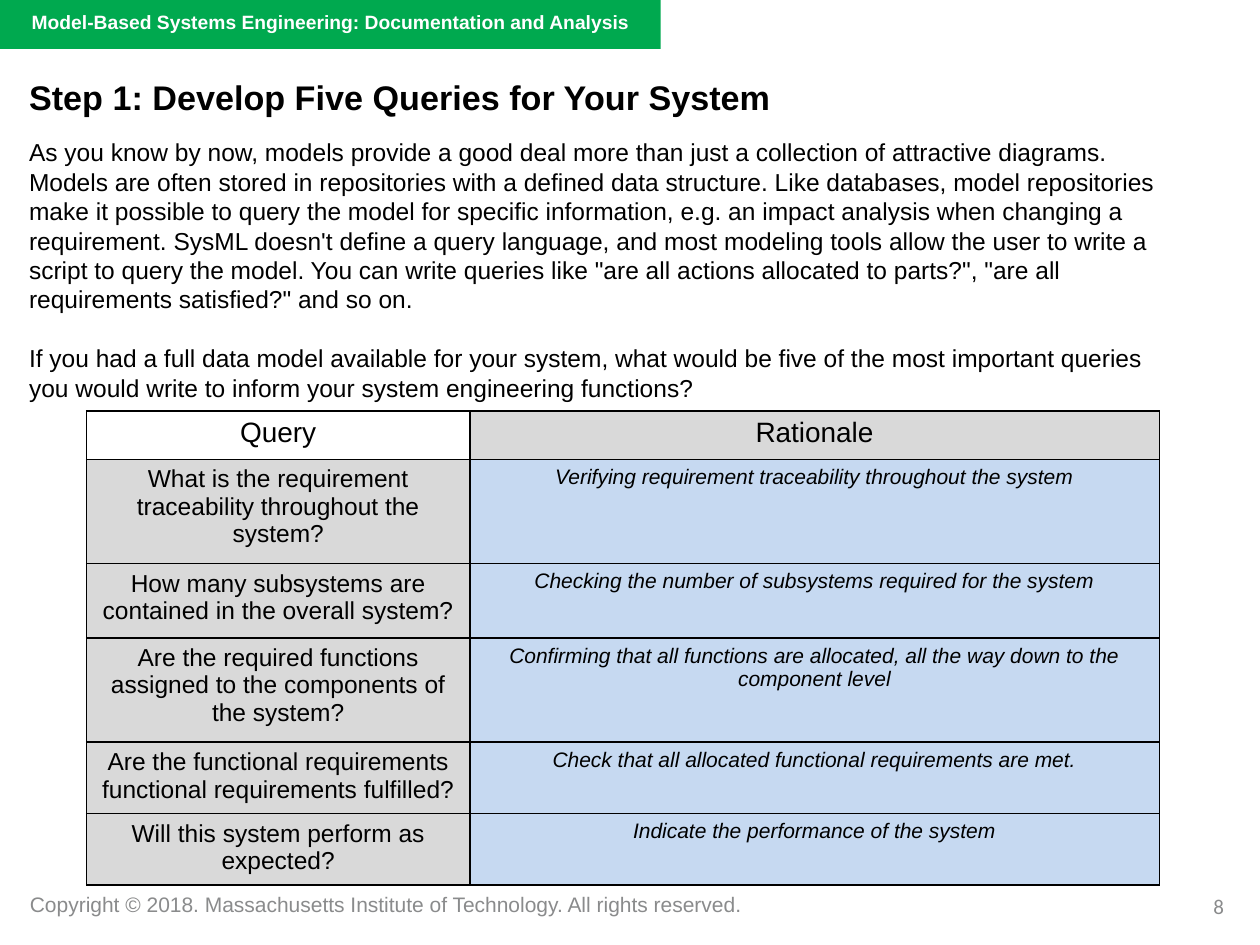
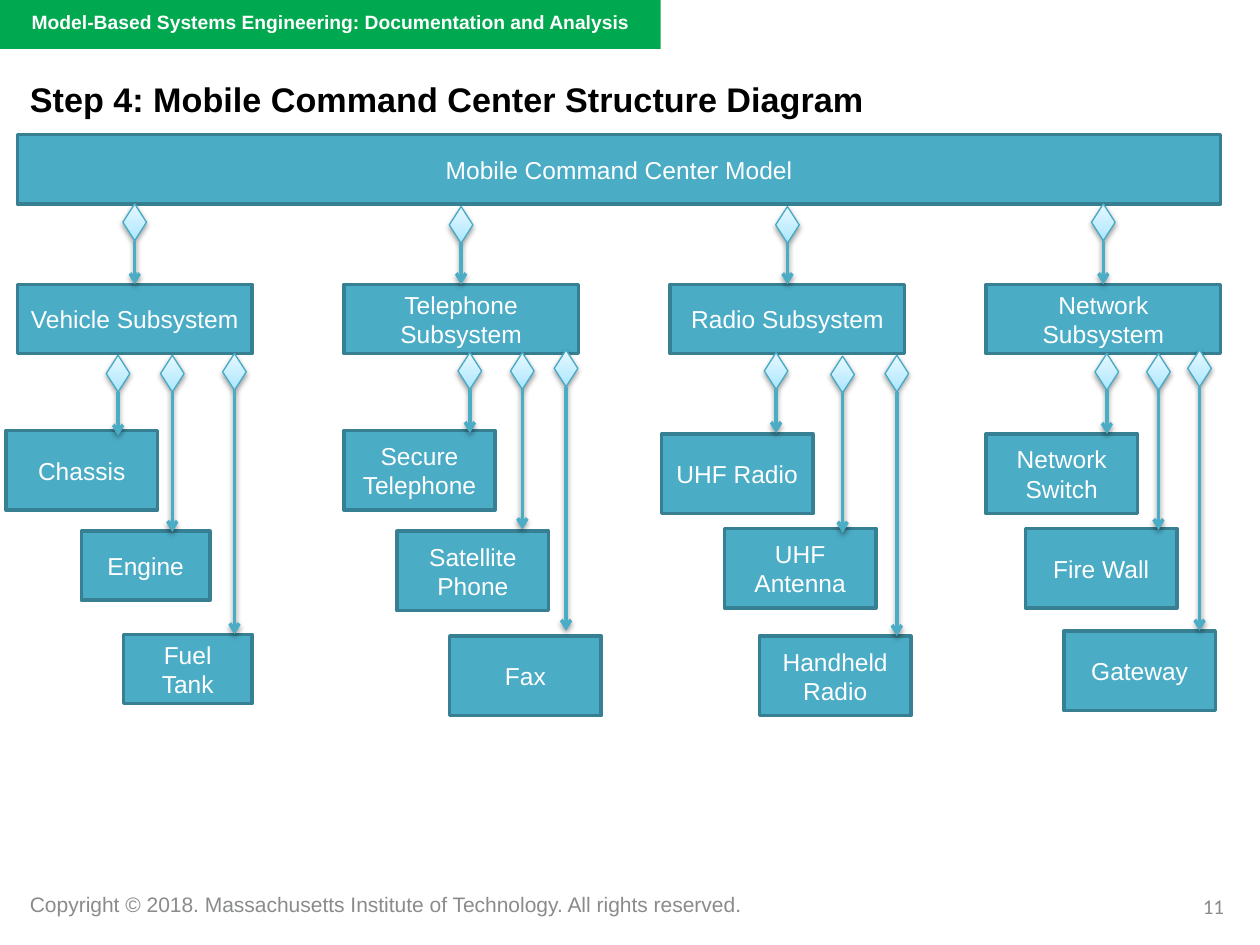
from copy import deepcopy

from pptx import Presentation
from pptx.dml.color import RGBColor
from pptx.enum.shapes import MSO_CONNECTOR, MSO_SHAPE
from pptx.enum.text import MSO_ANCHOR, PP_ALIGN
from pptx.oxml import parse_xml
from pptx.oxml.ns import nsdecls, qn
from pptx.util import Pt

RECTANGLE, DIAMOND = MSO_SHAPE.RECTANGLE, MSO_SHAPE.DIAMOND
STRAIGHT = MSO_CONNECTOR.STRAIGHT
LEFT, CENTER, RIGHT = PP_ALIGN.LEFT, PP_ALIGN.CENTER, PP_ALIGN.RIGHT
MIDDLE = MSO_ANCHOR.MIDDLE
TOP_SITE, BOTTOM_SITE = 0, 2

COLORS = {
    "band": "00A94F", "white": "FFFFFF", "black": "000000", "footer": "8A8B8C",
    "label": "D9D9D9", "answer": "C6D9F1",
    "block": "4BACC6", "block_edge": "377F92", "diamond_edge": "46AAC5",
    "diamond_low": "A7E6FF", "diamond_mid": "C1EDFF", "diamond_high": "E7F8FF",
}
COURSE = "Model-Based Systems Engineering: Documentation and Analysis"
COPYRIGHT = "Copyright © 2018. Massachusetts Institute of Technology. All rights reserved."

INTRO = [
    "As you know by now, models provide a good deal more than just a collection of "
    "attractive diagrams. Models are often stored in repositories with a defined data "
    "structure. Like databases, model repositories make it possible to query the model "
    "for specific information, e.g. an impact analysis when changing a requirement. "
    "SysML doesn't define a query language, and most modeling tools allow the user to "
    "write a script to query the model. You can write queries like \"are all actions "
    "allocated to parts?\", \"are all requirements satisfied?\" and so on.",
    "If you had a full data model available for your system, what would be five of the "
    "most important queries you would write to inform your system engineering functions?",
]
QUERIES = [
    ("What is the requirement traceability throughout the system?",
     "Verifying requirement traceability throughout the system"),
    ("How many subsystems are contained in the overall system?",
     "Checking the number of subsystems required for the system"),
    ("Are the required functions assigned to the components of the system?",
     "Confirming that all functions are allocated, all the way down to the component level"),
    ("Are the functional requirements functional requirements fulfilled?",
     "Check that all allocated functional requirements are met."),
    ("Will this system perform as expected?",
     "Indicate the performance of the system"),
]
QUERY_COLUMNS = [219, 394]
QUERY_ROWS = [27.5, 59.5, 42.5, 59.5, 40, 40]

BLOCK_W, BLOCK_H = 134, 39.5
SMALL_PART, LARGE_PART = (73.5, 39.5), (86.5, 45.5)
DIAMOND_W, DIAMOND_H = 13.5, 21
SHAFTS = [25, 80, 139.5]
SUBSYSTEMS = [
    ("Vehicle Subsystem", 0, 0, [
        ("Chassis", (-6.5, 83.5), LARGE_PART, (57.5, 40.5)),
        ("Engine", (36.5, 141), SMALL_PART, (88.5, 40.5)),
        ("Fuel Tank", (60.5, 200), SMALL_PART, (124, 39.5))]),
    ("Telephone Subsystem", 186.5, 1.5, [
        ("Secure Telephone", (0, 83.5), LARGE_PART, (72, 39)),
        ("Satellite Phone", (30.5, 141), LARGE_PART, (102, 39)),
        ("Fax", (60.5, 201), LARGE_PART, (127, 37.5))]),
    ("Radio Subsystem", 373, 1.5, [
        ("UHF Radio", (-5, 85.5), LARGE_PART, (60.5, 39)),
        ("UHF Antenna", (31, 139.5), LARGE_PART, (98.5, 41)),
        ("Handheld Radio", (51, 201), LARGE_PART, (129.5, 40.5))]),
    ("Network Subsystem", 553.5, 0, [
        ("Network Switch", (0, 85.5), LARGE_PART, (69, 39.5)),
        ("Fire Wall", (22.5, 139.5), LARGE_PART, (98.5, 39.5)),
        ("Gateway", (44.5, 198), LARGE_PART, (122, 37.5))]),
]


def rgb(name):
    return RGBColor.from_string(COLORS[name])


def points(box):
    return [Pt(value) for value in box]


def style(paragraph, size, color, align=LEFT, bold=False, italic=False, font="Arial"):
    paragraph.alignment = align
    paragraph.font.name = font
    paragraph.font.size = Pt(size)
    paragraph.font.bold = bold
    paragraph.font.italic = italic
    paragraph.font.color.rgb = rgb(color)


def add_text(slide, box, text, size, color, wrap=True, **look):
    frame = slide.shapes.add_textbox(*points(box)).text_frame
    frame.word_wrap = wrap
    frame.text = text
    for paragraph in frame.paragraphs:
        style(paragraph, size, color, **look)
    return frame


def add_box(slide, box, fill, edge=None):
    rectangle = slide.shapes.add_shape(RECTANGLE, *points(box))
    rectangle.shadow.inherit = False
    rectangle.fill.solid()
    rectangle.fill.fore_color.rgb = rgb(fill)
    if edge:
        rectangle.line.color.rgb = rgb(edge)
        rectangle.line.width = Pt(2)
    else:
        rectangle.line.fill.background()
    return rectangle


def add_frame(slide, title, title_box, number):
    add_text(slide, (10, 506, 429, 21.5), COPYRIGHT, 12, "footer", wrap=False)
    add_box(slide, (-0.5, 0, 378, 28), "band")
    add_text(slide, (11, 2.5, 377, 42), COURSE, 11, "white", bold=True)
    add_text(slide, (538.5, 507, 168, 29), number, 12, "footer", align=RIGHT, font="Calibri")
    heading = add_text(slide, title_box, title, 19.5, "black", bold=True)
    heading.margin_top = heading.margin_bottom = Pt(7.2)


def add_cell_borders(cell):
    properties = cell._tc.get_or_add_tcPr()
    for position, side in enumerate(("lnL", "lnR", "lnT", "lnB")):
        properties.insert(position, parse_xml(
            f'<a:{side} {nsdecls("a")} w="12700"><a:solidFill>'
            f'<a:srgbClr val="{COLORS["black"]}"/></a:solidFill></a:{side}>'))


def add_query_table(slide, left, top):
    box = (left, top, sum(QUERY_COLUMNS), sum(QUERY_ROWS))
    table = slide.shapes.add_table(len(QUERY_ROWS), 2, *points(box)).table
    table.first_row = table.horz_banding = False
    for column, width in zip(table.columns, QUERY_COLUMNS):
        column.width = Pt(width)
    for row, height in zip(table.rows, QUERY_ROWS):
        row.height = Pt(height)
    header = [("Query", 16, None, False), ("Rationale", 16, "label", False)]
    body = [[(query, 14, "label", False), (rationale, 12, "answer", True)]
            for query, rationale in QUERIES]
    for row, contents in zip(table.rows, [header] + body):
        for cell, (text, size, fill, italic) in zip(row.cells, contents):
            cell.text = text
            style(cell.text_frame.paragraphs[0], size, "black", CENTER, italic=italic)
            if fill:
                cell.fill.solid()
                cell.fill.fore_color.rgb = rgb(fill)
            else:
                cell.fill.background()
            add_cell_borders(cell)


def add_soft_shadow(shape):
    shape._element.spPr.append(parse_xml(
        f'<a:effectLst {nsdecls("a")}><a:outerShdw blurRad="39370" dist="20320" '
        f'dir="5400000" rotWithShape="0"><a:srgbClr val="{COLORS["black"]}">'
        '<a:alpha val="38000"/></a:srgbClr></a:outerShdw></a:effectLst>'))


def add_block(slide, box, text):
    block = add_box(slide, box, "block", "block_edge")
    frame = block.text_frame
    frame.word_wrap = True
    frame.vertical_anchor = MIDDLE
    frame.text = text
    style(frame.paragraphs[0], 14, "white", CENTER)
    return block


def add_diamond(slide, center, top):
    box = (center - DIAMOND_W / 2, top, DIAMOND_W, DIAMOND_H)
    diamond = slide.shapes.add_shape(DIAMOND, *points(box))
    diamond.fill.gradient()
    diamond.fill.gradient_angle = 90
    stops = diamond._element.spPr.find(".//" + qn("a:gsLst"))
    stops.insert(1, deepcopy(stops[0]))
    shades = [(0, "diamond_low"), (0.35, "diamond_mid"), (1, "diamond_high")]
    for stop, (position, shade) in zip(diamond.fill.gradient_stops, shades):
        stop.position = position
        stop.color.rgb = rgb(shade)
    diamond.line.color.rgb = rgb("diamond_edge")
    diamond.line.width = Pt(0.75)
    add_soft_shadow(diamond)
    return diamond


def add_composition(slide, center, top, shaft, target=None):
    diamond = add_diamond(slide, center, top)
    start = top + DIAMOND_H
    arrow = slide.shapes.add_connector(
        STRAIGHT, *points((center, start, center, start + shaft)))
    arrow.begin_connect(diamond, BOTTOM_SITE)
    if target:
        arrow.end_connect(target, TOP_SITE)
    arrow.line.color.rgb = rgb("block")
    arrow.line.width = Pt(2)
    arrow._element.spPr.find(qn("a:ln")).append(
        parse_xml(f'<a:tailEnd {nsdecls("a")} type="arrow"/>'))
    add_soft_shadow(arrow)


def add_subsystem(slide, left, top, name, parts):
    subsystem = add_block(slide, (left, top, BLOCK_W, BLOCK_H), name)
    for (part, (dx, dy), size, (center, drop)), shaft in zip(parts, SHAFTS):
        add_block(slide, (left + dx, top + dy, *size), part)
        add_composition(slide, left + center, top + drop, shaft)
    return subsystem


def add_structure(slide, left, top, width):
    add_block(slide, (left, top, width, BLOCK_H), "Mobile Command Center Model")
    for name, offset, drop, parts in SUBSYSTEMS:
        x = left + offset
        subsystem = add_subsystem(slide, x, top + 85.5, name, parts)
        add_composition(slide, x + BLOCK_W / 2, top + BLOCK_H + drop, SHAFTS[0], subsystem)


def build_queries(slide):
    add_frame(slide, "Step 1: Develop Five Queries for Your System",
              (9.5, 36.5, 633, 39.5), "8")
    add_query_table(slide, 49.5, 235)
    intro = add_text(slide, (9.5, 75, 666.5, 160), "\n".join(INTRO), 14, "black")
    intro.paragraphs[1].space_before = Pt(16.8)


def build_structure(slide):
    add_frame(slide, "Step 4: Mobile Command Center Structure Diagram",
              (10, 37.5, 648, 39.5), "11")
    add_structure(slide, 10, 77, 687.5)


def main():
    deck = Presentation()
    deck.slide_width, deck.slide_height = Pt(720), Pt(540)
    for build in (build_queries, build_structure):
        build(deck.slides.add_slide(deck.slide_layouts[6]))
    deck.save("out.pptx")


if __name__ == "__main__":
    main()
